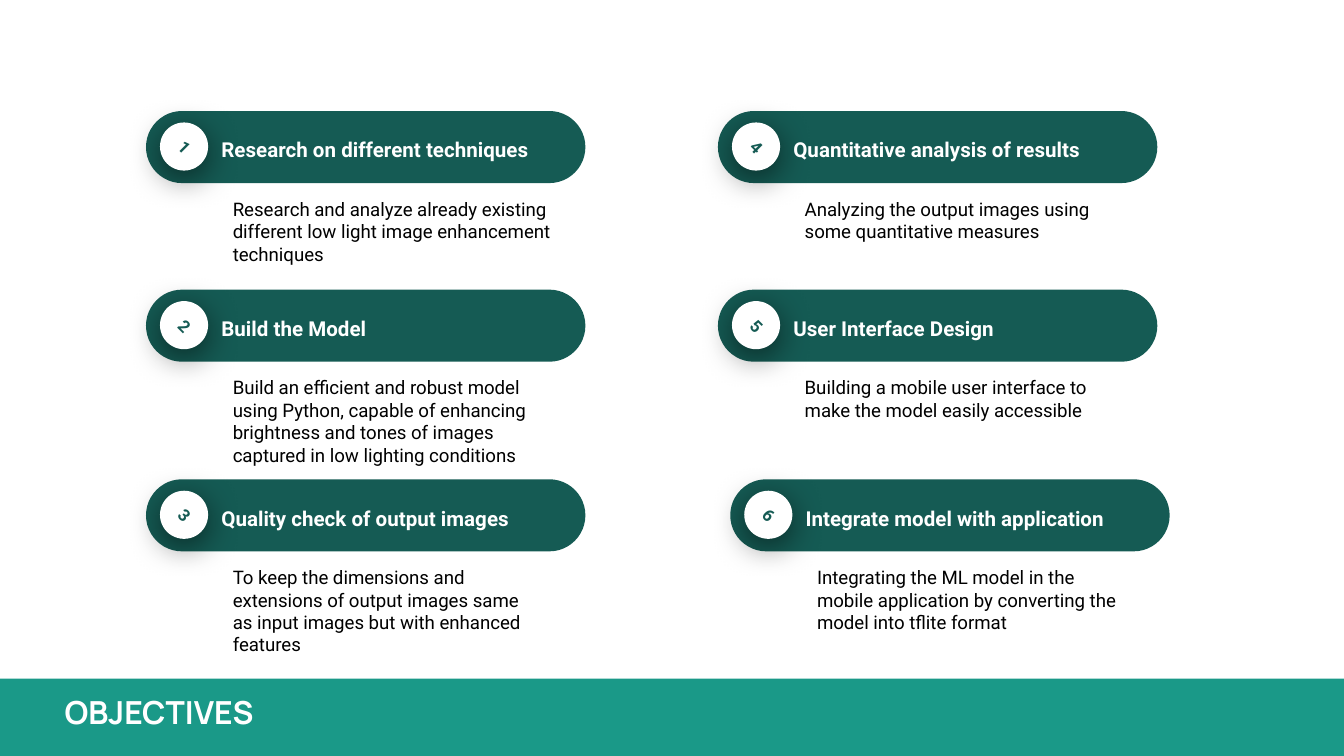
from dataclasses import dataclass

from lxml import etree
from pptx import Presentation
from pptx import util as u
from pptx.dml.color import RGBColor
from pptx.enum import shapes, text
from pptx.oxml import ns


@dataclass(frozen=True)
class Theme:
    band: str = "1A9988"
    bar: str = "155B54"
    white: str = "FFFFFF"
    black: str = "000000"
    title_font: str = "Manrope"
    body_font: str = "Roboto"
    title_size: float = 17
    heading_size: float = 11
    body_size: float = 10
    number_size: float = 9


@dataclass(frozen=True)
class Objective:
    number: int
    heading: str
    detail: str
    left: float
    top: float
    detail_width: float = 176.4


THEME = Theme()
SLIDE_WIDTH, SLIDE_HEIGHT = 720, 405
BAND_TOP = 363.6
BAR_LENGTH, BAR_THICKNESS = 235.4, 38.6
BADGE_SIZE = 25.8
LEFT, RIGHT, LAST_RIGHT = 78.2, 384.6, 391.2
ROWS = (59.5, 155.2, 256.8)

OBJECTIVES = (
    Objective(1, "Research on different techniques",
              "Research and analyze already existing different low light image "
              "enhancement techniques", LEFT, ROWS[0], 190),
    Objective(2, "Build the Model",
              "Build an efficient and robust model using Python, capable of enhancing "
              "brightness and tones of images captured in low lighting conditions",
              LEFT, ROWS[1]),
    Objective(3, "Quality check of output images",
              "To keep the dimensions and extensions of output images same as input "
              "images but with enhanced features", LEFT, ROWS[2]),
    Objective(4, "Quantitative analysis of results",
              "Analyzing the output images using some quantitative measures",
              RIGHT, ROWS[0]),
    Objective(5, "User Interface Design",
              "Building a mobile user interface to make the model easily accessible",
              RIGHT, ROWS[1]),
    Objective(6, "Integrate model with application",
              "Integrating the ML model in the mobile application by converting the "
              "model into tflite format", LAST_RIGHT, ROWS[2]),
)


def box(left: float, top: float, width: float, height: float) -> tuple:
    return tuple(u.Pt(length) for length in (left, top, width, height))


def write(shape, content: str, *, size: float, color: str, font: str = THEME.body_font,
          bold: bool = False, anchor=text.MSO_ANCHOR.TOP, line_spacing: float = 1.0,
          space_after: float = 0) -> None:
    frame = shape.text_frame
    frame.word_wrap = True
    frame.auto_size = text.MSO_AUTO_SIZE.NONE
    frame.vertical_anchor = anchor
    frame.margin_left = frame.margin_right = u.Pt(7.2)
    frame.margin_top = frame.margin_bottom = u.Pt(7.2)
    paragraph = frame.paragraphs[0]
    paragraph.alignment = text.PP_ALIGN.LEFT
    paragraph.line_spacing = line_spacing
    paragraph.space_before = u.Pt(0)
    paragraph.space_after = u.Pt(space_after)
    run = paragraph.add_run()
    run.text = content
    run.font.name = font
    run.font.size = u.Pt(size)
    run.font.bold = bold
    run.font.color.rgb = RGBColor.from_string(color)


def add_filled(parent, kind, bounds: tuple, color: str, rotation: float = 0):
    shape = parent.add_shape(kind, *bounds)
    shape.rotation = rotation
    shape.shadow.inherit = False
    shape.fill.solid()
    shape.fill.fore_color.rgb = RGBColor.from_string(color)
    shape.line.fill.background()
    return shape


def add_soft_shadow(shape) -> None:
    effects = shape._element.spPr.find(ns.qn("a:effectLst"))
    shadow = etree.SubElement(effects, ns.qn("a:outerShdw"), blurRad=str(u.Pt(18)),
                              dist=str(u.Pt(4)), dir="5400000", algn="bl",
                              rotWithShape="0")
    color = etree.SubElement(shadow, ns.qn("a:srgbClr"), val=THEME.black)
    etree.SubElement(color, ns.qn("a:alpha"), val="54000")


def add_objective(slide, item: Objective) -> None:
    group = slide.shapes.add_group_shape().shapes
    shift = (BAR_LENGTH - BAR_THICKNESS) / 2
    bar = add_filled(group, shapes.MSO_SHAPE.ROUNDED_RECTANGLE,
                     box(item.left + shift, item.top - shift, BAR_THICKNESS, BAR_LENGTH),
                     THEME.bar, rotation=90)
    bar.adjustments[0] = 0.5

    badge = add_filled(group, shapes.MSO_SHAPE.OVAL,
                       box(item.left + 7.5, item.top + 6.1, BADGE_SIZE, BADGE_SIZE),
                       THEME.white, rotation=45)
    add_soft_shadow(badge)
    write(badge, str(item.number), size=THEME.number_size, color=THEME.bar, bold=True,
          anchor=text.MSO_ANCHOR.MIDDLE)

    heading = group.add_textbox(*box(item.left + 33.3, item.top + 6.5, 186.5, 26.6))
    write(heading, item.heading, size=THEME.heading_size, color=THEME.white, bold=True,
          anchor=text.MSO_ANCHOR.MIDDLE, line_spacing=1.15)

    detail = group.add_textbox(*box(item.left + 39.4, item.top + 39.2,
                                    item.detail_width, 34.6))
    write(detail, item.detail, size=THEME.body_size, color=THEME.black, space_after=16)


def add_title_band(slide) -> None:
    band = add_filled(slide.shapes, shapes.MSO_SHAPE.RECTANGLE,
                      box(0, BAND_TOP, SLIDE_WIDTH, SLIDE_HEIGHT - BAND_TOP), THEME.band)
    title = slide.shapes.title
    band._element.addnext(title._element)
    title.left, title.top, title.width, title.height = box(27.4, 367.9, 492.5, 31)
    write(title, "OBJECTIVES", size=THEME.title_size, color=THEME.white,
          font=THEME.title_font, bold=True, anchor=text.MSO_ANCHOR.BOTTOM)


def main() -> None:
    presentation = Presentation()
    presentation.slide_width = u.Pt(SLIDE_WIDTH)
    presentation.slide_height = u.Pt(SLIDE_HEIGHT)
    slide = presentation.slides.add_slide(presentation.slide_layouts[5])
    add_title_band(slide)
    for item in OBJECTIVES:
        add_objective(slide, item)
    presentation.save("out.pptx")


if __name__ == "__main__":
    main()
